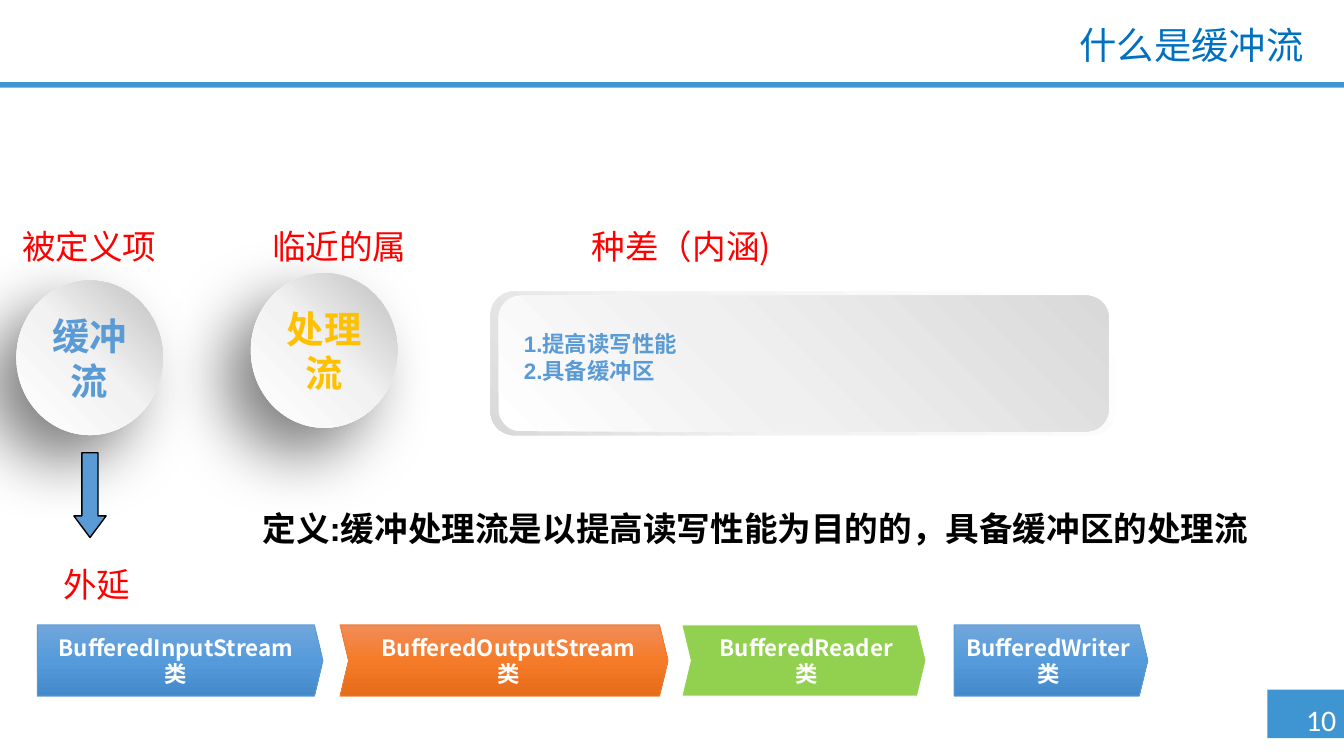
from lxml import etree
from pptx import Presentation
from pptx.dml.color import RGBColor
from pptx.enum import shapes, text
from pptx.oxml import parse_xml
from pptx.oxml.ns import nsdecls
from pptx.util import Pt

WHITE = RGBColor(0xFF, 0xFF, 0xFF)
BLACK = RGBColor(0, 0, 0)
RED = RGBColor(0xFF, 0, 0)
BAR_BLUE = RGBColor(0x3F, 0x95, 0xD2)
TITLE_BLUE = RGBColor(0, 0x70, 0xC0)
BLUE = RGBColor(0x5B, 0x9B, 0xD5)
GOLD = RGBColor(0xFF, 0xC0, 0)
ORANGE = RGBColor(0xED, 0x7D, 0x31)
GREEN = RGBColor(0x92, 0xD0, 0x50)
PALE = RGBColor(0xF2, 0xF2, 0xF2)
SOFT = RGBColor(0xF0, 0xF0, 0xF0)
GREY = RGBColor(0xBF, 0xBF, 0xBF)
LIGHT_GREY = RGBColor(0xD9, 0xD9, 0xD9)

# A gradient is (angle, [(position in percent, colour), ...])
BALL = (315, [(0, WHITE), (51, PALE), (100, GREY)])
PANEL_RIM = (135, [(0, WHITE), (62, PALE), (100, LIGHT_GREY)])
PANEL_FACE = (315, [(0, WHITE), (42, SOFT), (100, LIGHT_GREY)])
BLUE_FADE = (90, [(0, RGBColor(0x71, 0xA6, 0xDB)), (50, RGBColor(0x55, 0x9B, 0xDB)),
                  (100, RGBColor(0x44, 0x8A, 0xCA))])
ORANGE_FADE = (90, [(0, RGBColor(0xF1, 0x8C, 0x57)), (50, RGBColor(0xF6, 0x7B, 0x28)),
                    (100, RGBColor(0xE5, 0x6C, 0x19))])

CJK = "Noto Sans CJK SC"
KIND = shapes.MSO_SHAPE
LEFT, CENTER, RIGHT = text.PP_ALIGN.LEFT, text.PP_ALIGN.CENTER, text.PP_ALIGN.RIGHT


def fill_gradient(shape, gradient):
    angle, stops = gradient
    shape.fill.gradient()
    old = shape.fill._xPr.find("{*}gradFill")
    marks = "".join(f'<a:gs pos="{place * 1000}"><a:srgbClr val="{color}"/></a:gs>'
                    for place, color in stops)
    new = parse_xml(f'<a:gradFill {nsdecls("a")} rotWithShape="1"><a:gsLst>{marks}</a:gsLst>'
                    f'<a:lin ang="{angle * 60000}" scaled="0"/></a:gradFill>')
    old.getparent().replace(old, new)


def add_shape(parent, kind, place, fill, line=None, width=0.5, adjust=()):
    shape = parent.add_shape(kind, *map(Pt, place))
    shape.shadow.inherit = False
    for index, value in enumerate(adjust):
        shape.adjustments[index] = value
    if isinstance(fill, tuple) and not isinstance(fill, RGBColor):
        fill_gradient(shape, fill)
    else:
        shape.fill.solid()
        shape.fill.fore_color.rgb = fill
    if line is None:
        shape.line.fill.background()
    else:
        shape.line.color.rgb = line
        shape.line.width = Pt(width)
    return shape


def write(frame, lines, size, font, color, bold=False, align=CENTER):
    for index, line in enumerate(lines):
        para = frame.paragraphs[0] if index == 0 else frame.add_paragraph()
        para.alignment = align
        span = para.add_run()
        span.text = line
        span.font.size = Pt(size)
        span.font.name = font
        span.font.bold = bold
        span.font.color.rgb = color


def add_text(parent, place, lines, size, font, color, bold=False, align=CENTER, wrap=True):
    box = parent.add_textbox(*map(Pt, place))
    frame = box.text_frame
    frame.word_wrap = wrap
    frame.auto_size = text.MSO_AUTO_SIZE.SHAPE_TO_FIT_TEXT
    write(frame, lines, size, font, color, bold, align)
    return frame


def add_ball(parent, left, top, label, font, color):
    ball = add_shape(parent, KIND.OVAL, (left, top, 78.5, 82.8), BALL)
    effects = ball._element.spPr.find("{*}effectLst")
    effects.append(parse_xml(
        f'<a:outerShdw {nsdecls("a")} blurRad="{Pt(35)}" dist="{Pt(20)}" dir="{135 * 60000}" '
        'algn="tr" rotWithShape="0"><a:srgbClr val="000000"><a:alpha val="50000"/>'
        '</a:srgbClr></a:outerShdw>'))
    ball.text_frame.word_wrap = True
    ball.text_frame.vertical_anchor = text.MSO_ANCHOR.MIDDLE
    write(ball.text_frame, [label], 20, font, color, bold=True)


def add_tag(page, kind, left, width, fill, line, label, label_left, label_width, label_height):
    top, height = 334.8, 38.2
    group = page.shapes.add_group_shape().shapes
    add_shape(group, kind, (left, top, width, height), fill, line, adjust=[0.12])
    label_top = top + (height - label_height) / 2
    frame = add_text(group, (label_left, label_top, label_width, label_height),
                     [label], 12, CJK, WHITE, bold=True)
    frame.margin_left = frame.margin_right = frame.margin_top = frame.margin_bottom = 0
    frame.vertical_anchor = text.MSO_ANCHOR.MIDDLE


def main():
    deck = Presentation()
    deck.slide_width, deck.slide_height = Pt(720), Pt(405)
    page = deck.slides.add_slide(deck.slide_layouts[6])
    items = page.shapes

    # Header, title and page number
    add_shape(items, KIND.RECTANGLE, (679, 369.5, 41, 26), BAR_BLUE)
    add_shape(items, KIND.RECTANGLE, (0, 44, 720, 3), BAR_BLUE)
    add_text(items, (689, 372.2, 37.5, 26.6), ["10"], 16, "Calibri", WHITE, wrap=False)
    title = add_text(items, (172.8, 10.8, 532.8, 29.5), ["什么是缓冲流"], 20, "Roboto",
                     TITLE_BLUE, align=RIGHT)
    title.paragraphs[0].line_spacing = 0.9

    # Term and its genus
    add_ball(items, 8.8, 150.3, "缓冲流", "Calibri", BLUE)
    add_ball(items, 134.4, 146.4, "处理流", CJK, GOLD)

    # Red captions
    for left, top, width, caption in [(-25.2, 117.4, 146.2, "被定义项"),
                                      (101.5, 117.4, 160.6, "临近的属"),
                                      (295.2, 117.4, 139.7, "种差（内涵)"),
                                      (15.8, 298.8, 72, "外延")]:
        add_text(items, (left, top, width, 28.8), [caption], 18, CJK, RED)

    # Panel with the distinguishing features
    panel = items.add_group_shape().shapes
    add_shape(panel, KIND.ROUNDED_RECTANGLE, (262.8, 156.2, 334.8, 77), PANEL_RIM)
    add_shape(panel, KIND.ROUNDED_RECTANGLE, (267.1, 158.4, 326.9, 72.7), PANEL_FACE)
    add_text(items, (273.6, 173.5, 324, 36), ["1.提高读写性能", "2.具备缓冲区"], 12, "Arial",
             BLUE, bold=True, align=LEFT)

    # Definition and arrow to the extension
    add_text(items, (128.9, 268.6, 551.5, 28.8),
             ["定义:缓冲处理流是以提高读写性能为目的的，具备缓冲区的处理流"], 18, "Arial",
             BLACK, bold=True, wrap=False)
    add_shape(items, KIND.DOWN_ARROW, (39.6, 242.6, 17.3, 45.4), BLUE, BLACK, 0.75,
              adjust=[0.5, 0.67])

    # Classes in the extension
    add_tag(page, KIND.CHEVRON, 182.2, 175.7, ORANGE_FADE, ORANGE,
            "BufferedOutputStream类", 202.3, 140.4, 28.8)
    add_tag(page, KIND.PENTAGON, 20, 153, BLUE_FADE, BLUE,
            "BufferedInputStream类", 26.6, 135.4, 28.8)
    add_tag(page, KIND.CHEVRON, 365.3, 130.8, GREEN, WHITE,
            "BufferedReader类", 380, 104, 14.4)
    add_tag(page, KIND.PENTAGON, 511.2, 103.7, BLUE_FADE, BLUE,
            "BufferedWriter类", 515.5, 92.2, 28.8)

    deck.save("out.pptx")


if __name__ == "__main__":
    main()
